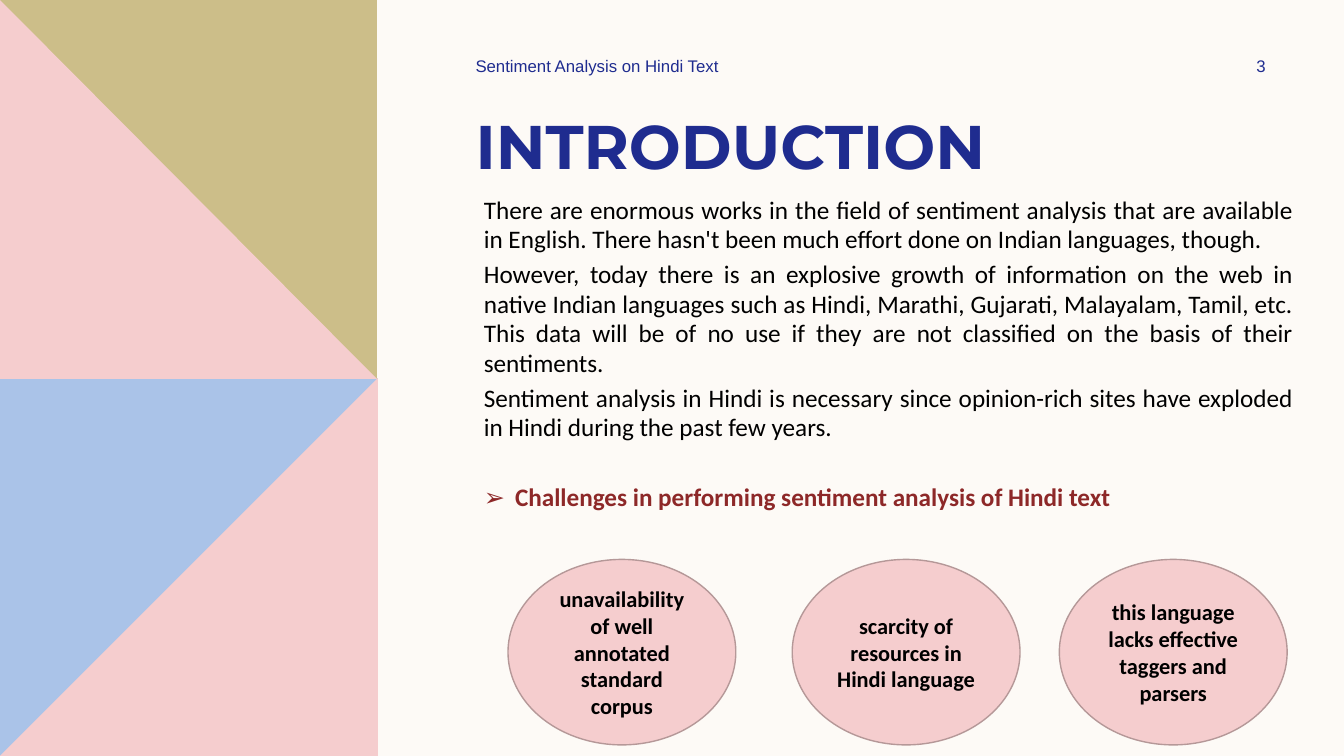
from lxml import etree
from pptx import Presentation
from pptx.dml.color import RGBColor
from pptx.enum.shapes import MSO_SHAPE
from pptx.enum.text import MSO_ANCHOR, MSO_AUTO_SIZE, PP_ALIGN
from pptx.oxml.ns import qn
from pptx.util import Pt

LEFT, CENTER, JUSTIFY = PP_ALIGN.LEFT, PP_ALIGN.CENTER, PP_ALIGN.JUSTIFY
MIDDLE = MSO_ANCHOR.MIDDLE
OVAL = MSO_SHAPE.OVAL

CREAM = RGBColor(0xFD, 0xFA, 0xF6)
BLUE = RGBColor(0xAA, 0xC3, 0xE8)
PINK = RGBColor(0xF5, 0xCD, 0xCE)
OLIVE = RGBColor(0xCC, 0xBE, 0x89)
NAVY = RGBColor(0x1F, 0x2C, 0x8F)
MAROON = RGBColor(0x8D, 0x28, 0x28)
ROSE = RGBColor(0xB5, 0x98, 0x98)
BLACK = RGBColor(0, 0, 0)

TITLE = "INTRODUCTION"
INTRO = [
    "There are enormous works in the field of sentiment analysis that are available "
    "in English. There hasn't been much effort done on Indian languages, though.",
    "However, today there is an explosive growth of information on the web in native "
    "Indian languages such as Hindi, Marathi, Gujarati, Malayalam, Tamil, etc. This data "
    "will be of no use if they are not classified on the basis of their sentiments.",
    "Sentiment analysis in Hindi is necessary since opinion-rich sites have exploded "
    "in Hindi during the past few years.",
]
CHALLENGES_HEADING = "Challenges in performing sentiment analysis of Hindi text"
CHALLENGES = [  # left edge, text
    (362.9, "unavailability of well annotated standard corpus"),
    (565.9, "scarcity of resources in Hindi language"),
    (756.7, "this language lacks effective taggers and parsers"),
]
HEADER = [  # left edge, width, alignment, text
    (332.6, 252, LEFT, "Sentiment Analysis on Hindi Text"),
    (861.8, 77.8, CENTER, "3"),
]
SIDE, BOTTOM = 270, 540
PANELS = [  # colour, corners
    (BLUE, [(0, SIDE), (SIDE, SIDE), (SIDE, BOTTOM), (0, BOTTOM)]),
    (PINK, [(SIDE, SIDE), (SIDE, BOTTOM), (0, BOTTOM)]),
    (OLIVE, [(0, 0), (269.3, 0), (269.3, 270.7), (0, 270.7)]),
    (PINK, [(0, 0), (269.3, 270.7), (0, 270.7)]),
]


def write(p, text, size=18, font="Calibri", color=BLACK, bold=False, align=LEFT):
    p.alignment = align
    r = p.add_run()
    r.text = text
    r.font.size, r.font.name, r.font.bold = Pt(size), font, bold
    r.font.color.rgb = color


def place(sp, left, top, width, height):
    sp.left, sp.top, sp.width, sp.height = Pt(left), Pt(top), Pt(width), Pt(height)


def set_bullet(p, char=None, indent=0):
    pPr = p._p.get_or_add_pPr()
    pPr.set("marL", str(Pt(indent)))
    pPr.set("indent", str(-Pt(indent)))
    if char:
        etree.SubElement(pPr, qn("a:buFont"), typeface="Arial")
        etree.SubElement(pPr, qn("a:buChar"), char=char)
    else:
        etree.SubElement(pPr, qn("a:buNone"))


prs = Presentation()
prs.slide_width, prs.slide_height = Pt(960), Pt(540)
s = prs.slides.add_slide(prs.slide_layouts[1])
s.background.fill.solid()
s.background.fill.fore_color.rgb = CREAM

for color, corners in PANELS:
    points = [(Pt(x), Pt(y)) for x, y in corners]
    builder = s.shapes.build_freeform(*points[0])
    builder.add_line_segments(points[1:], close=True)
    sp = builder.convert_to_shape()
    sp.shadow.inherit = False
    sp.fill.solid()
    sp.fill.fore_color.rgb = color
    sp.line.fill.background()

title, body = s.shapes.title, s.placeholders[1]
place(title, 332.6, 73.4, 532.8, 60.5)
title.text_frame.auto_size = MSO_AUTO_SIZE.NONE
write(title.text_frame.paragraphs[0], TITLE, size=44, font="Montserrat", color=NAVY, bold=True)

place(body, 338.4, 136.1, 592.6, 377.3)
tf = body.text_frame
tf.auto_size = MSO_AUTO_SIZE.NONE
for i, text in enumerate(INTRO + [CHALLENGES_HEADING]):
    p = tf.add_paragraph() if i else tf.paragraphs[0]
    heading = i == len(INTRO)
    p.line_spacing = 0.98
    p.space_before = Pt(28.8 if heading else 3.6)
    if heading:
        set_bullet(p, "➢", 22.3)
        write(p, text, color=MAROON, bold=True, align=JUSTIFY)
    else:
        set_bullet(p)
        write(p, text, align=JUSTIFY)

for left, width, align, text in HEADER:
    tf = s.shapes.add_textbox(Pt(left), Pt(36), Pt(width), Pt(21.6)).text_frame
    tf.word_wrap = True
    tf.vertical_anchor = MIDDLE
    write(tf.paragraphs[0], text, size=12, font="Arial", color=NAVY, align=align)

for left, text in CHALLENGES:
    sp = s.shapes.add_shape(OVAL, Pt(left), Pt(399.6), Pt(162.7), Pt(132.5))
    sp.shadow.inherit = False
    sp.fill.solid()
    sp.fill.fore_color.rgb = PINK
    sp.line.color.rgb = ROSE
    sp.line.width = Pt(1)
    tf = sp.text_frame
    tf.word_wrap = True
    tf.vertical_anchor = MIDDLE
    write(tf.paragraphs[0], text, size=16, bold=True, align=CENTER)

prs.save("out.pptx")
